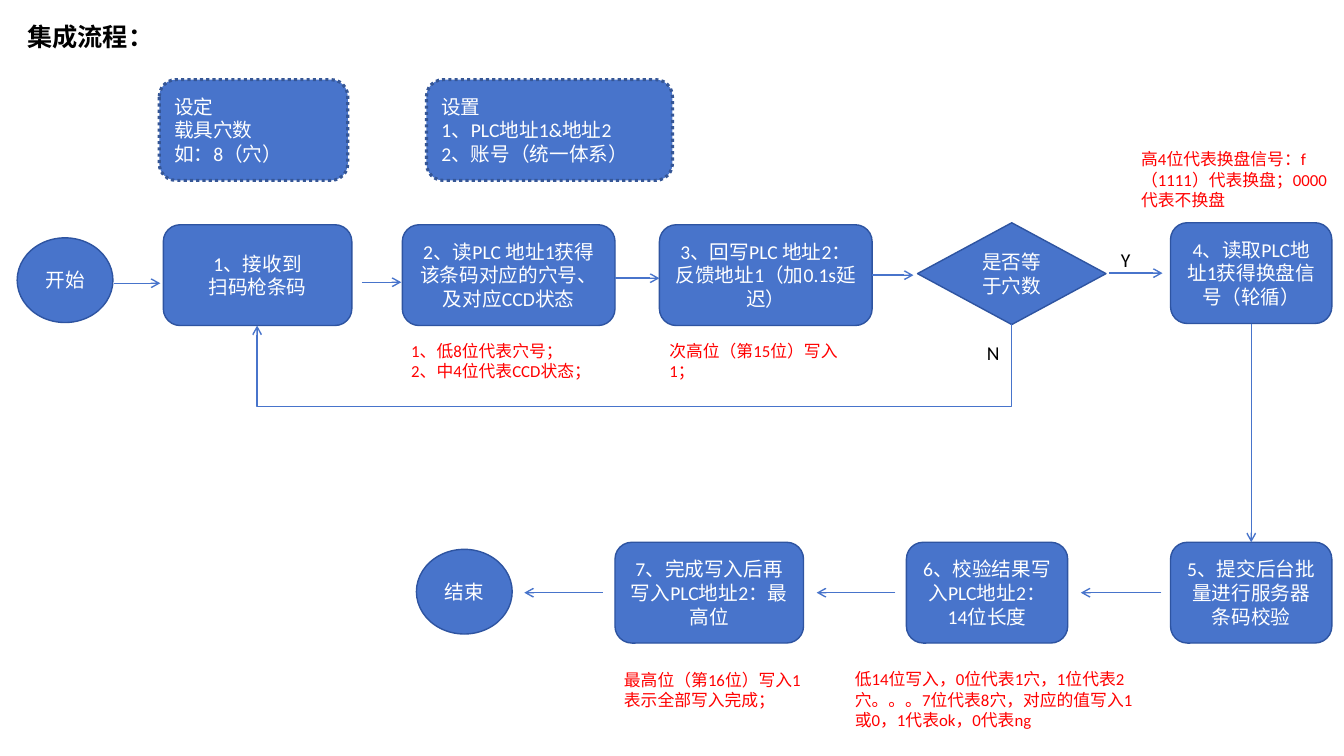
from lxml.etree import SubElement
from pptx import Presentation
from pptx.dml.color import RGBColor
from pptx.enum.dml import MSO_LINE
from pptx.enum.shapes import MSO_CONNECTOR as Connector, MSO_SHAPE as Shape
from pptx.enum.text import MSO_ANCHOR as Anchor, MSO_AUTO_SIZE as AutoSize, PP_ALIGN as Align
from pptx.oxml.ns import qn
from pptx.util import Inches, Pt

COLORS = {"fill": "4874CB", "border": "2E54A1", "dotted": "355696",
          "white": "FFFFFF", "black": "000000", "note": "FF0000"}
FONT = "Calibri"
TOP, RIGHT, BOTTOM = 0, 3, 2


def color(name):
    """Return the named palette colour."""
    return RGBColor.from_string(COLORS[name])


class FlowSlide:
    """Draws the elements of a flowchart on one slide."""

    def __init__(self, presentation):
        """Add a title-only slide."""
        self.slide = presentation.slides.add_slide(presentation.slide_layouts[5])
        self.shapes = self.slide.shapes

    def set_text(self, shape, text, size, ink, align=Align.LEFT, anchor=Anchor.TOP, bold=False):
        """Fill a shape with uniformly formatted paragraphs."""
        frame = shape.text_frame
        frame.text = text
        frame.word_wrap = True
        frame.auto_size = AutoSize.NONE
        frame.vertical_anchor = anchor
        for paragraph in frame.paragraphs:
            paragraph.alignment = align
            font = paragraph.font
            font.name, font.size, font.bold = FONT, Pt(size), bold
            font.color.rgb = color(ink)

    def title(self, text, left, top, width, height):
        """Place and format the title placeholder."""
        title = self.shapes.title
        title.left, title.top = Inches(left), Inches(top)
        title.width, title.height = Inches(width), Inches(height)
        self.set_text(title, text, 18, "black", bold=True)

    def node(self, text, left, top, width, height=1.0, kind=Shape.FLOWCHART_ALTERNATE_PROCESS,
             dotted=False):
        """Add a flowchart node, dotted for settings."""
        shape = self.shapes.add_shape(kind, Inches(left), Inches(top), Inches(width), Inches(height))
        shape.shadow.inherit = False
        shape.fill.solid()
        shape.fill.fore_color.rgb = color("fill")
        shape.line.color.rgb = color("dotted" if dotted else "border")
        shape.line.width = Pt(2.25 if dotted else 1)
        if dotted:
            shape.line.dash_style = MSO_LINE.ROUND_DOT
        self.set_text(shape, text, 14, "white", Align.LEFT if dotted else Align.CENTER, Anchor.MIDDLE)
        return shape

    def label(self, text, left, top, width, height, size=12, ink="note"):
        """Add a plain text box."""
        box = self.shapes.add_textbox(Inches(left), Inches(top), Inches(width), Inches(height))
        self.set_text(box, text, size, ink)

    def arrow(self, x1, y1, x2, y2, kind=Connector.STRAIGHT):
        """Add a connector with an open arrowhead at its end."""
        line = self.shapes.add_connector(kind, Inches(x1), Inches(y1), Inches(x2), Inches(y2))
        line.line.color.rgb = color("fill")
        line.line.width = Pt(1)
        properties = line._element.spPr
        SubElement(properties.find(qn("a:ln")), qn("a:tailEnd"), type="arrow")
        SubElement(properties, qn("a:effectLst"))
        return line

    def loop(self, x1, y1, x2, y2, floor):
        """Add an arrow that drops to the floor, runs left and rises again."""
        middle_x, middle_y = (x1 + x2) / 2, (y1 + y2) / 2
        rise, run = y2 - y1, x1 - x2
        line = self.arrow(middle_x - rise / 2, middle_y - run / 2,
                          middle_x + rise / 2, middle_y + run / 2, Connector.ELBOW)
        properties = line._element.spPr
        properties.find(qn("a:xfrm")).set("rot", str(90 * 60000))
        geometry = properties.find(qn("a:prstGeom"))
        guides = geometry.find(qn("a:avLst"))
        if guides is None:
            guides = SubElement(geometry, qn("a:avLst"))
        bend = round((floor - y1) / rise * 100000)
        SubElement(guides, qn("a:gd"), name="adj1", fmla=f"val {bend}")


def main():
    """Build the integration flow slide."""
    presentation = Presentation()
    presentation.slide_width, presentation.slide_height = Inches(13.33), Inches(7.5)
    flow = FlowSlide(presentation)
    flow.title("集成流程：", 0.17, 0.16, 4.44, 0.4)

    flow.node("设定\n载具穴数\n如：8（穴）", 1.58, 0.79, 1.87, dotted=True)
    flow.node("设置\n1、PLC地址1&地址2\n2、账号（统一体系）", 4.23, 0.79, 2.44, dotted=True)

    for text, left, top in (("开始", 0.17, 2.36), ("结束", 4.13, 5.45)):
        flow.node(text, left, top, 0.95, 0.84, Shape.FLOWCHART_CONNECTOR)
    flow.node("1、接收到\n扫码枪条码", 1.62, 2.23, 1.87)
    flow.node("2、读PLC 地址1获得该条码对应的穴号、及对应CCD状态", 3.99, 2.23, 2.11)
    write_back = flow.node("3、回写PLC 地址2：\n反馈地址1（加0.1s延迟）", 6.54, 2.23, 2.11)
    flow.node("是否等于穴数", 9.1, 2.21, 1.87, 1.01, Shape.FLOWCHART_DECISION)
    read_signal = flow.node("4、读取PLC地址1获得换盘信号（轮循）", 11.61, 2.21, 1.6)
    submit = flow.node("5、提交后台批量进行服务器条码校验", 11.61, 5.38, 1.6)
    flow.node("6、校验结果写入PLC地址2：14位长度", 8.99, 5.38, 1.6)
    flow.node("7、完成写入后再写入PLC地址2：最高位", 6.1, 5.38, 1.87)

    for x1, x2, y in ((1.13, 1.59, 2.81), (3.59, 3.98, 2.8), (6.1, 6.54, 2.76), (11, 11.53, 2.71),
                      (11.52, 10.72, 5.88), (8.88, 8.1, 5.88), (5.98, 5.2, 5.88)):
        flow.arrow(x1, y, x2, y)
    flow.arrow(8.65, 2.73, 9.06, 2.73).begin_connect(write_back, RIGHT)
    down = flow.arrow(12.41, 3.21, 12.41, 5.38)
    down.begin_connect(read_signal, BOTTOM)
    down.end_connect(submit, TOP)
    flow.loop(10.03, 3.21, 2.55, 3.23, floor=4.03)

    flow.label("Y", 11.02, 2.41, 0.44, 0.11, 14, "black")
    flow.label("N", 9.69, 3.33, 0.69, 0.66, 14, "black")
    flow.label("1、低8位代表穴号；\n2、中4位代表CCD状态；", 3.98, 3.33, 2.11, 0.5)
    flow.label("次高位（第15位）写入1；", 6.54, 3.33, 2.11, 0.5)
    flow.label("高4位代表换盘信号：f（1111）代表换盘；0000代表不换盘", 11.22, 1.43, 2.11, 0.66)
    flow.label("低14位写入，0位代表1穴，1位代表2穴。。。7位代表8穴，对应的值写入1或0，1代表ok，0代表ng",
               8.38, 6.59, 3.09, 0.66)
    flow.label("最高位（第16位）写入1表示全部写入完成；", 6.09, 6.59, 2.11, 0.71)
    presentation.save("out.pptx")


if __name__ == "__main__":
    main()
